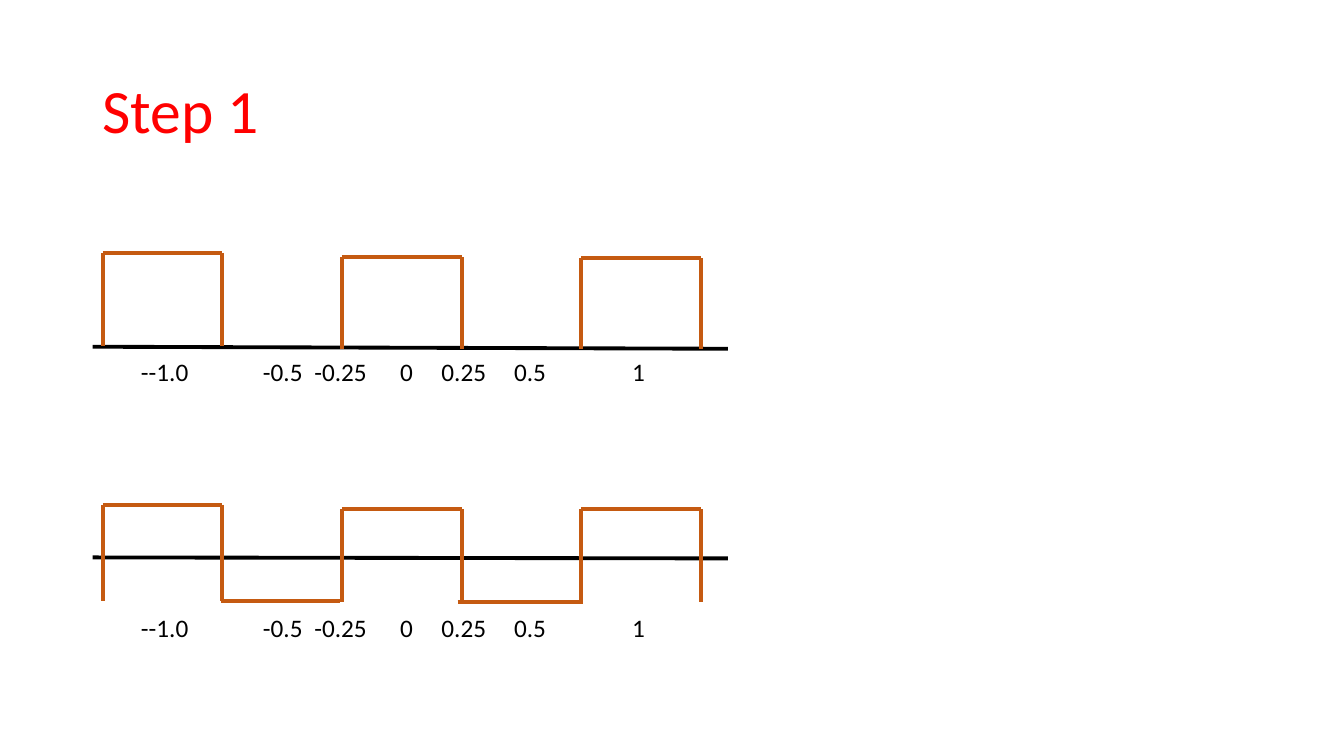
from lxml.etree import SubElement
from pptx import Presentation
from pptx.dml.color import RGBColor
from pptx.enum.shapes import MSO_CONNECTOR
from pptx.enum.text import MSO_ANCHOR
from pptx.oxml.ns import qn
from pptx.util import Inches, Pt

BLACK = RGBColor(0x00, 0x00, 0x00)
RED = RGBColor(0xFF, 0x00, 0x00)
ORANGE = RGBColor(0xC5, 0x5A, 0x11)

TITLE = "Step 1"
TICKS = ["--1.0", "-0.5", "-0.25", "0", "0.25", "0.5", "1"]
TICK_STOPS = [1.21, 1.72, 2.57, 2.98, 3.7, 4.87]
WAVES = [
    {"axis": (3.44, 3.46), "pulses": [(2.51, 3.43), (2.55, 3.46), (2.56, 3.46)],
     "troughs": [], "labels": 3.49},
    {"axis": (5.53, 5.54), "pulses": [(5.01, 5.96), (5.05, 5.97), (5.05, 5.97)],
     "troughs": [(2.19, 3.37, 5.96), (4.54, 5.78, 5.97)], "labels": 6.03},
]
AXIS_LEFT, AXIS_RIGHT = 0.92, 7.22
FIRST_EDGE, LAST_EDGE = 1.02, 6.95
PULSE_WIDTH = (LAST_EDGE - FIRST_EDGE) / 5

presentation = Presentation()
presentation.slide_width = Inches(13.33)
presentation.slide_height = Inches(7.5)
slide = presentation.slides.add_slide(presentation.slide_layouts[6])


def add_text(text, left, top, width, height, size, color=BLACK,
             anchor=MSO_ANCHOR.TOP, line_spacing=None, tab_stops=()):
    shape = slide.shapes.add_textbox(Inches(left), Inches(top), Inches(width), Inches(height))
    frame = shape.text_frame
    frame.word_wrap = True
    frame.vertical_anchor = anchor
    paragraph = frame.paragraphs[0]
    if line_spacing:
        paragraph.line_spacing = line_spacing
    if tab_stops:
        tab_list = SubElement(paragraph._p.get_or_add_pPr(), qn("a:tabLst"))
        for stop in tab_stops:
            SubElement(tab_list, qn("a:tab"), pos=str(Inches(stop)), algn="l")
    run = paragraph.add_run()
    run.text = text
    run.font.name = "Calibri"
    run.font.size = Pt(size)
    run.font.color.rgb = color


def add_line(start_x, start_y, end_x, end_y, color=ORANGE):
    connector = slide.shapes.add_connector(
        MSO_CONNECTOR.STRAIGHT, Inches(start_x), Inches(start_y), Inches(end_x), Inches(end_y))
    connector.line.color.rgb = color
    connector.line.width = Pt(2.75)
    SubElement(connector._element.spPr, qn("a:effectLst"))


def add_wave(wave):
    axis_start, axis_end = wave["axis"]
    add_line(AXIS_LEFT, axis_start, AXIS_RIGHT, axis_end, color=BLACK)
    for index, (top, bottom) in enumerate(wave["pulses"]):
        left = FIRST_EDGE + 2 * index * PULSE_WIDTH
        right = left + PULSE_WIDTH
        add_line(left, top, left, bottom)
        add_line(left, top, right, top)
        add_line(right, top, right, bottom)
    for left, right, level in wave["troughs"]:
        add_line(left, level, right, level)
    add_text("\t".join(TICKS), 1.3, wave["labels"], 5.38, 0.4, size=18, tab_stops=TICK_STOPS)


add_text(TITLE, 0.92, 0.4, 11.5, 1.45, size=44, color=RED,
         anchor=MSO_ANCHOR.MIDDLE, line_spacing=0.9)
for wave in WAVES:
    add_wave(wave)

presentation.save("out.pptx")
